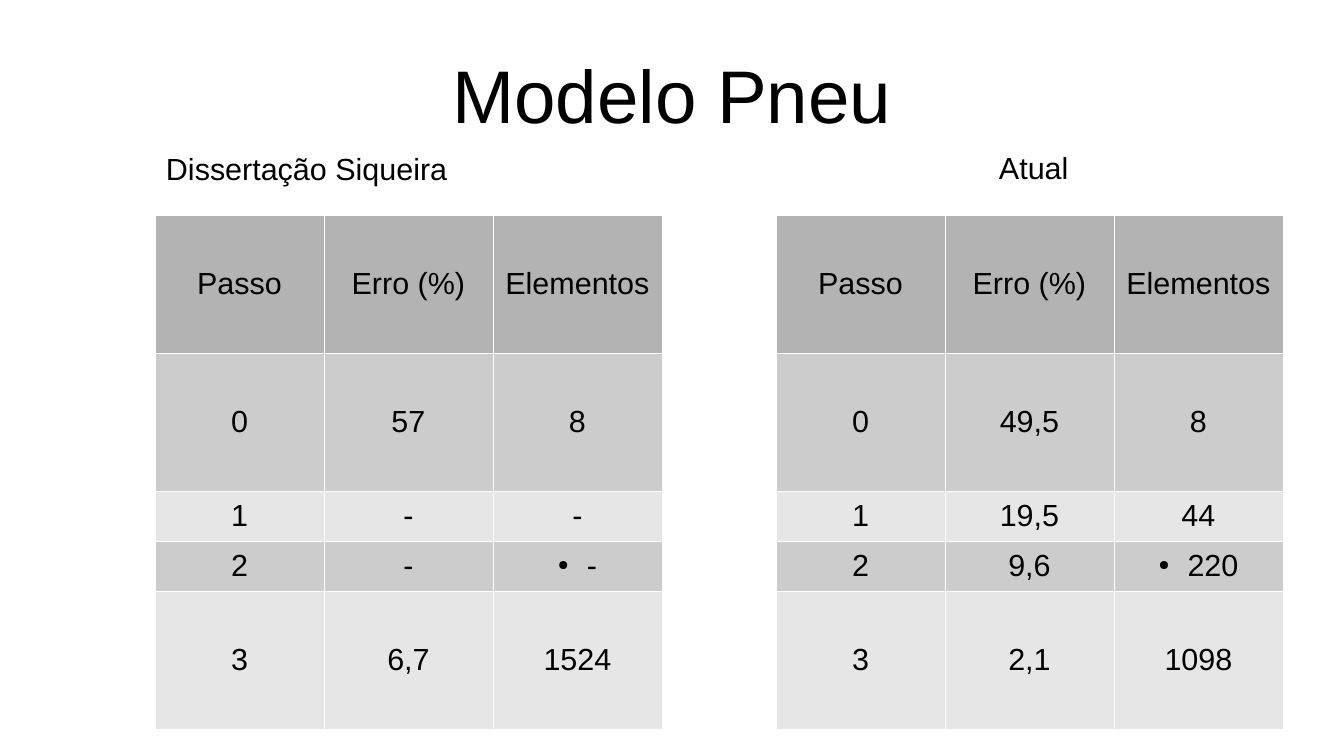
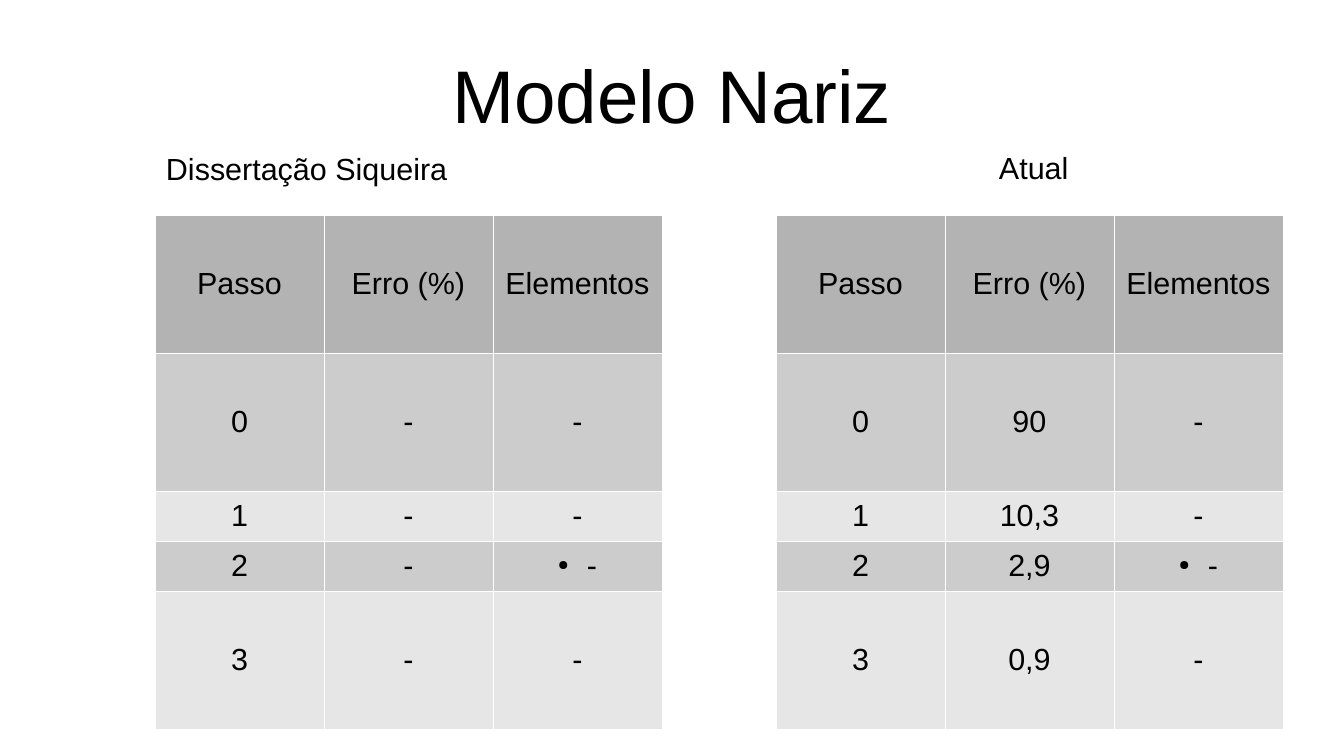
from lxml.etree import SubElement as Sub
from pptx import Presentation as Deck
from pptx.dml.color import RGBColor as Rgb
from pptx.enum.text import MSO_ANCHOR as Anchor, MSO_AUTO_SIZE as Fit, PP_ALIGN as Align
from pptx.oxml import parse_xml
from pptx.oxml.ns import nsdecls, qn
from pptx.util import Emu, Pt

# Shared look
SCALE = 914400 / 122
FONT, BLACK, WHITE = "Arial", "000000", "FFFFFF"
HEAD, DARK, LIGHT = "B3B3B3", "CCCCCC", "E6E6E6"
PAD_X, PAD_Y, INDENT = 12, 6, 29

# Table grid
TOP, COL = 215, 169
ROWS = [138, 138, 50, 50, 138]
LEFTS = [155, 776]
LABELS = [("Dissertação Siqueira", 154, 144, 345), ("Atual", 987, 143, 118)]
TITLES = ["Passo", "Erro (%)", "Elementos"]
DOT_ROW = 3

# Error and element count for steps 0 to 3, per table
MODELS = {
    "Modelo Pneu": [
        [("57", "8"), ("-", "-"), ("-", "-"), ("6,7", "1524")],
        [("49,5", "8"), ("19,5", "44"), ("9,6", "220"), ("2,1", "1098")],
    ],
    "Modelo Nariz": [
        [("-", "-")] * 4,
        [("90", "-"), ("10,3", "-"), ("2,9", "-"), ("0,9", "-")],
    ],
}


def px(num):
    return Emu(round(num * SCALE))


def color(code):
    return Rgb.from_string(code)


def bullet(para):
    props = para._p.get_or_add_pPr()
    props.set("marL", str(px(INDENT)))
    props.set("indent", str(-px(INDENT)))
    Sub(Sub(props, qn("a:buClr")), qn("a:srgbClr"), val=BLACK)
    Sub(props, qn("a:buSzPct"), val="45000")
    Sub(props, qn("a:buChar"), char="●")


def write(frame, words, size=18, align=Align.CENTER, dot=False):
    para = frame.paragraphs[0]
    para.alignment = align
    if dot:
        bullet(para)
    run = para.add_run()
    run.text = words
    run.font.size = Pt(size)
    run.font.name = FONT
    run.font.color.rgb = color(BLACK)


def inset(item, wide, high):
    item.margin_left = item.margin_right = px(wide)
    item.margin_top = item.margin_bottom = px(high)


def place(shape, left, top, width, height):
    shape.left, shape.top = px(left), px(top)
    shape.width, shape.height = px(width), px(height)


def head(slide, words):
    title = slide.shapes.title
    place(title, 67, 30, 1210, 127)
    frame = title.text_frame
    frame.auto_size = Fit.NONE
    frame.vertical_anchor = Anchor.MIDDLE
    inset(frame, 0, 0)
    write(frame, words, size=44)


def label(slide, words, left, top, width):
    box = slide.shapes.add_textbox(px(left), px(top), px(width), px(46))
    frame = box.text_frame
    frame.word_wrap = True
    inset(frame, PAD_X, PAD_Y)
    write(frame, words, align=Align.LEFT)


def border(cell):
    props = cell._tc.get_or_add_tcPr()
    for spot, side in enumerate("LRTB"):
        props.insert(spot, parse_xml(
            f'<a:ln{side} {nsdecls("a")} w="762"><a:solidFill>'
            f'<a:srgbClr val="{WHITE}"/></a:solidFill></a:ln{side}>'))


def grid(slide, left, data):
    rows = [TITLES] + [(str(step), *pair) for step, pair in enumerate(data)]
    table = slide.shapes.add_table(
        len(rows), len(TITLES), px(left), px(TOP),
        px(COL * len(TITLES)), px(sum(ROWS))).table
    table.first_row = table.horz_banding = False
    for col in table.columns:
        col.width = px(COL)
    for r, words in enumerate(rows):
        table.rows[r].height = px(ROWS[r])
        fill = HEAD if r == 0 else DARK if r % 2 else LIGHT
        for c, word in enumerate(words):
            cell = table.cell(r, c)
            cell.fill.solid()
            cell.fill.fore_color.rgb = color(fill)
            cell.vertical_anchor = Anchor.MIDDLE
            inset(cell, PAD_X, PAD_Y)
            border(cell)
            last = c == len(TITLES) - 1
            write(cell.text_frame, word, dot=r == DOT_ROW and last)


def main():
    deck = Deck()
    deck.slide_width, deck.slide_height = px(1344), px(756)
    for name, tables in MODELS.items():
        slide = deck.slides.add_slide(deck.slide_layouts[5])
        head(slide, name)
        for spec in LABELS:
            label(slide, *spec)
        for left, data in zip(LEFTS, tables):
            grid(slide, left, data)
    deck.save("out.pptx")


if __name__ == "__main__":
    main()
